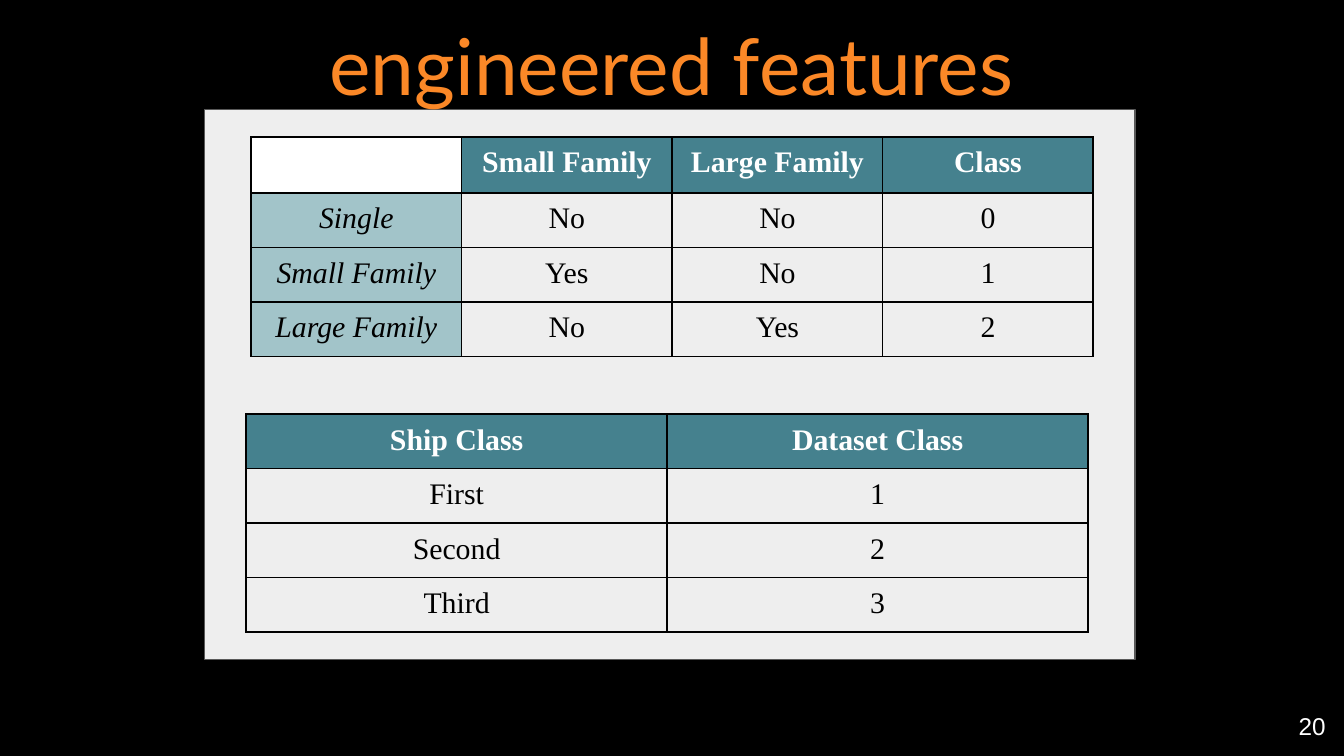
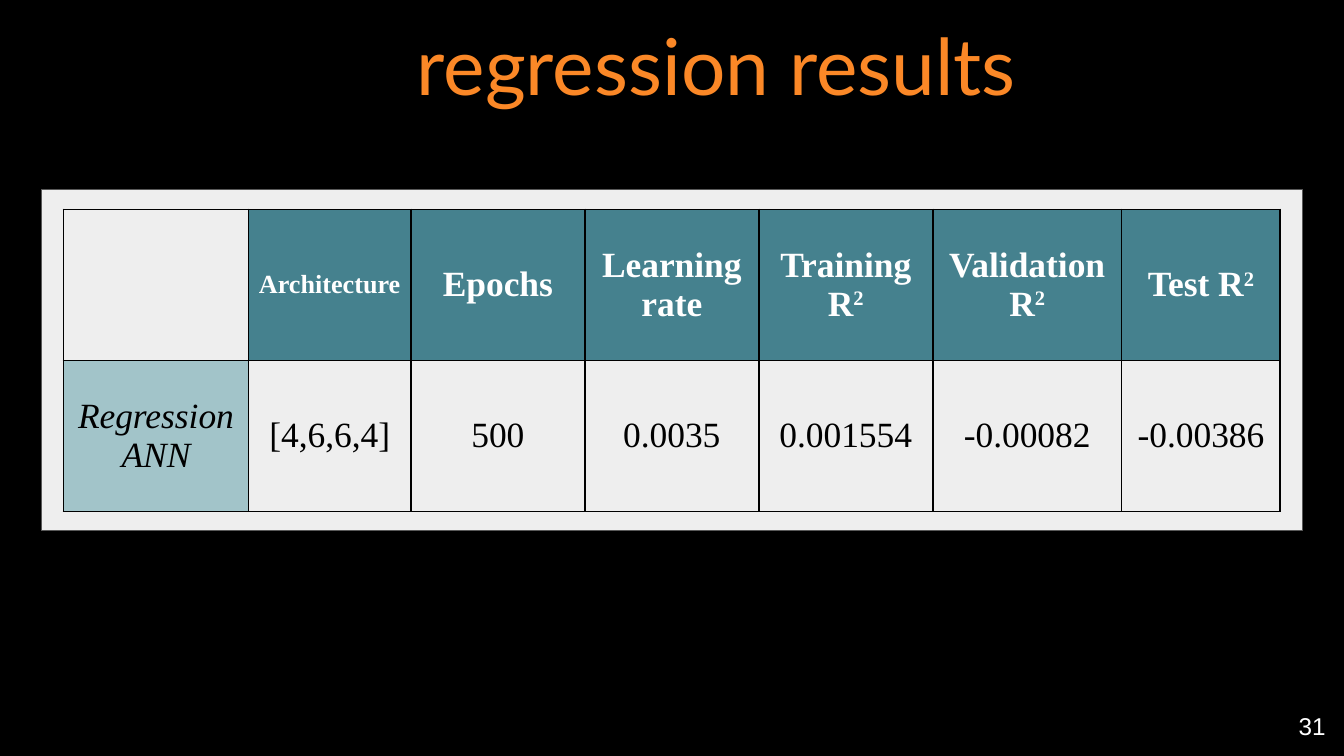
from dataclasses import dataclass

from lxml.etree import SubElement
from pptx import Presentation
from pptx.dml.color import RGBColor
from pptx.enum.shapes import MSO_SHAPE
from pptx.enum.text import MSO_ANCHOR, PP_ALIGN
from pptx.oxml.ns import qn
from pptx.util import Pt


@dataclass(frozen=True)
class Theme:
    background: str = "000000"
    panel: str = "EEEEEE"
    panel_line: str = "595959"
    accent: str = "FB8827"
    header: str = "45818E"
    row_label: str = "A2C4C9"
    light: str = "FFFFFF"
    dark: str = "000000"
    title_font: str = "Lato"
    number_font: str = "Arial"
    table_font: str = "Times New Roman"
    title_size: float = 42
    number_size: float = 13
    table_size: float = 16
    large_table_size: float = 19
    small_header_size: float = 14
    box_inset: float = 7.2
    cell_inset: float = 5


def set_insets(frame, inset):
    frame.margin_left = frame.margin_right = Pt(inset)
    frame.margin_top = frame.margin_bottom = Pt(inset)


class SlideBuilder:
    def __init__(self, deck, theme):
        self.deck = deck
        self.theme = theme
        self.slide = None

    def start(self):
        self.slide = self.deck.slides.add_slide(self.deck.slide_layouts[6])
        fill = self.slide.background.fill
        fill.solid()
        fill.fore_color.rgb = RGBColor.from_string(self.theme.background)

    def panel(self, left, top, width, height):
        box = self.slide.shapes.add_shape(
            MSO_SHAPE.RECTANGLE, Pt(left), Pt(top), Pt(width), Pt(height))
        box.shadow.inherit = False
        box.fill.solid()
        box.fill.fore_color.rgb = RGBColor.from_string(self.theme.panel)
        box.line.color.rgb = RGBColor.from_string(self.theme.panel_line)
        box.line.width = Pt(0.75)

    def add_text(self, frame, text, font, size, color, align, bold=False, italic=False):
        """Fill a frame: a newline starts a paragraph, a caret raises what follows."""
        for index, line in enumerate(text.split("\n")):
            para = frame.paragraphs[0] if index == 0 else frame.add_paragraph()
            para.alignment = align
            for level, part in enumerate(line.split("^")):
                span = para.add_run()
                span.text = part
                span.font.name = font
                span.font.size = Pt(size)
                span.font.bold = bold
                span.font.italic = italic
                span.font.color.rgb = RGBColor.from_string(color)
                if level:
                    span.font._element.set("baseline", "30000")

    def text_box(self, left, top, width, height, anchor):
        box = self.slide.shapes.add_textbox(Pt(left), Pt(top), Pt(width), Pt(height))
        frame = box.text_frame
        frame.word_wrap = True
        frame.vertical_anchor = anchor
        set_insets(frame, self.theme.box_inset)
        return frame

    def title(self, text, width):
        frame = self.text_box(147.6, 7.2, width, 59.8, MSO_ANCHOR.BOTTOM)
        self.add_text(frame, text, self.theme.title_font, self.theme.title_size,
                      self.theme.accent, PP_ALIGN.CENTER)

    def page_number(self, number):
        frame = self.text_box(674, 373.7, 43.2, 31, MSO_ANCHOR.TOP)
        self.add_text(frame, str(number), self.theme.number_font,
                      self.theme.number_size, self.theme.light, PP_ALIGN.RIGHT)

    def cell_borders(self, cell):
        properties = cell._tc.get_or_add_tcPr()
        for side in ("a:lnL", "a:lnR", "a:lnT", "a:lnB"):
            line = SubElement(properties, qn(side), w=str(Pt(1)))
            fill = SubElement(line, qn("a:solidFill"))
            SubElement(fill, qn("a:srgbClr"), val=self.theme.dark)

    def table(self, left, top, widths, heights, rows, size, anchor=MSO_ANCHOR.TOP,
              row_labels=False, corner=None, sizes=None):
        """Draw a bordered table; sizes maps a text to a size of its own."""
        theme = self.theme
        table = self.slide.shapes.add_table(
            len(rows), len(widths), Pt(left), Pt(top),
            Pt(sum(widths)), Pt(sum(heights))).table
        table.first_row = table.horz_banding = False
        for column, width in zip(table.columns, widths):
            column.width = Pt(width)
        for row, height in zip(table.rows, heights):
            row.height = Pt(height)
        for row_index, texts in enumerate(rows):
            for column_index, text in enumerate(texts):
                cell = table.cell(row_index, column_index)
                is_header = row_index == 0
                is_label = row_labels and column_index == 0 and not is_header
                color = (theme.header if is_header
                         else theme.row_label if is_label else None)
                if not text:
                    color = corner
                self.cell_borders(cell)
                if color:
                    cell.fill.solid()
                    cell.fill.fore_color.rgb = RGBColor.from_string(color)
                else:
                    cell.fill.background()
                cell.vertical_anchor = anchor
                set_insets(cell, theme.cell_inset if text else 0)
                if text:
                    self.add_text(cell.text_frame, text, theme.table_font,
                                  (sizes or {}).get(text, size),
                                  theme.light if is_header else theme.dark,
                                  PP_ALIGN.CENTER, bold=is_header, italic=is_label)


def engineered_features(builder):
    theme = builder.theme
    row_height = 27.75
    builder.start()
    builder.panel(109.7, 58.5, 498.3, 295)
    builder.title("engineered features", 424)
    builder.page_number(20)
    family_rows = [
        ("", "Small Family", "Large Family", "Class"),
        ("Single", "No", "No", "0"),
        ("Small Family", "Yes", "No", "1"),
        ("Large Family", "No", "Yes", "2"),
    ]
    builder.table(134.5, 73.4, [112.8] * 4, [30] + [row_height] * 3, family_rows,
                  theme.table_size, row_labels=True, corner=theme.light)
    class_rows = [
        ("Ship Class", "Dataset Class"),
        ("First", "1"),
        ("Second", "2"),
        ("Third", "3"),
    ]
    builder.table(131.8, 221.8, [225.6] * 2, [row_height] * 4, class_rows,
                  theme.table_size)


def regression_results(builder):
    theme = builder.theme
    builder.start()
    builder.panel(22.3, 101.5, 675.4, 182.9)
    builder.title("regression results", 472.3)
    builder.page_number(31)
    result_rows = [
        ("", "Architecture", "Epochs", "Learning rate", "Training R^2",
         "Validation\nR^2", "Test R^2"),
        ("Regression\nANN", "[4,6,6,4]", "500", "0.0035", "0.001554",
         "-0.00082", "-0.00386"),
    ]
    builder.table(34, 112.2, [99.2, 87, 93.2, 93.2, 93.2, 101.2, 85], [80.9] * 2,
                  result_rows, theme.large_table_size, anchor=MSO_ANCHOR.MIDDLE,
                  row_labels=True, sizes={"Architecture": theme.small_header_size})


def main():
    deck = Presentation()
    deck.slide_width = Pt(720)
    deck.slide_height = Pt(405)
    builder = SlideBuilder(deck, Theme())
    engineered_features(builder)
    regression_results(builder)
    deck.save("out.pptx")


if __name__ == "__main__":
    main()
